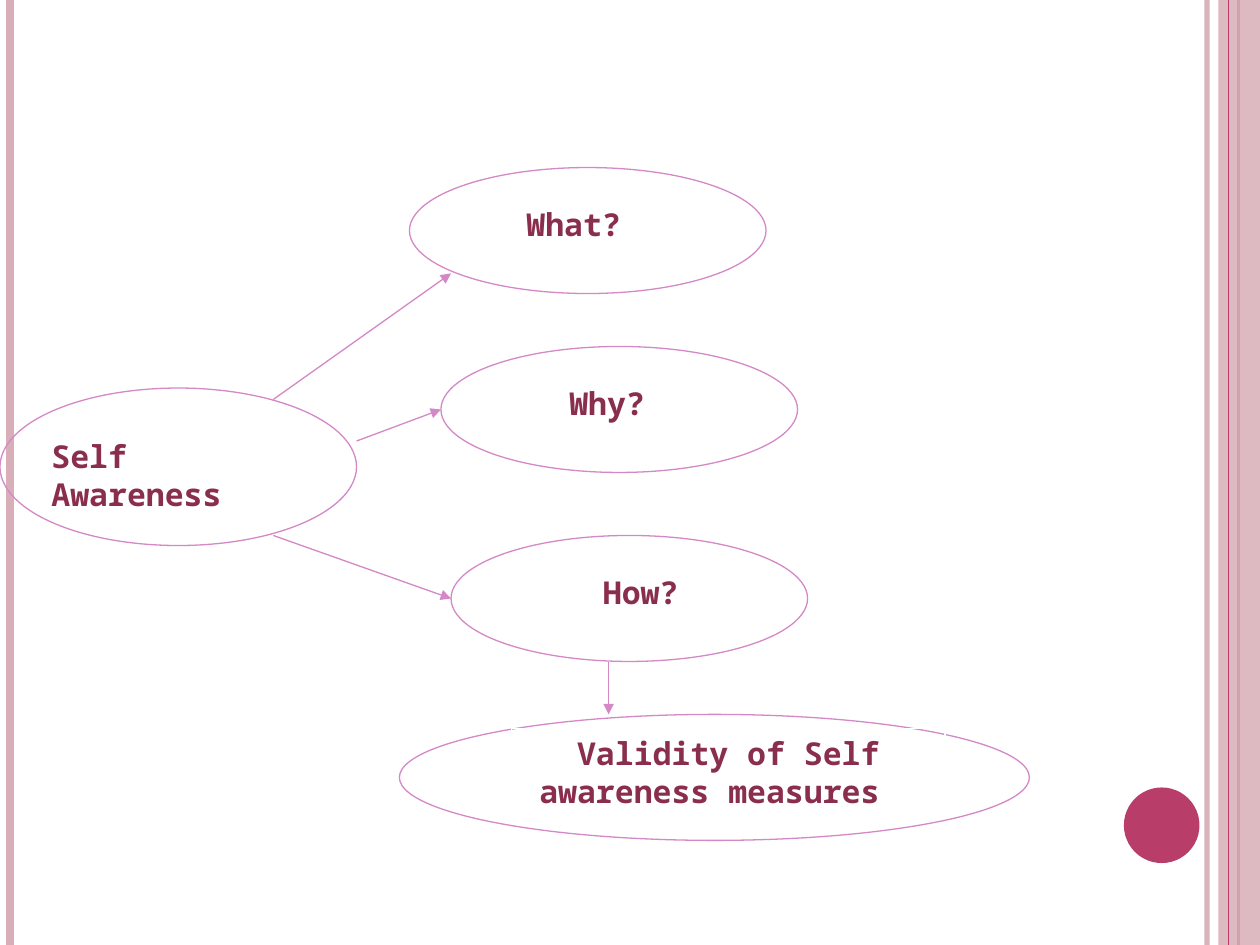
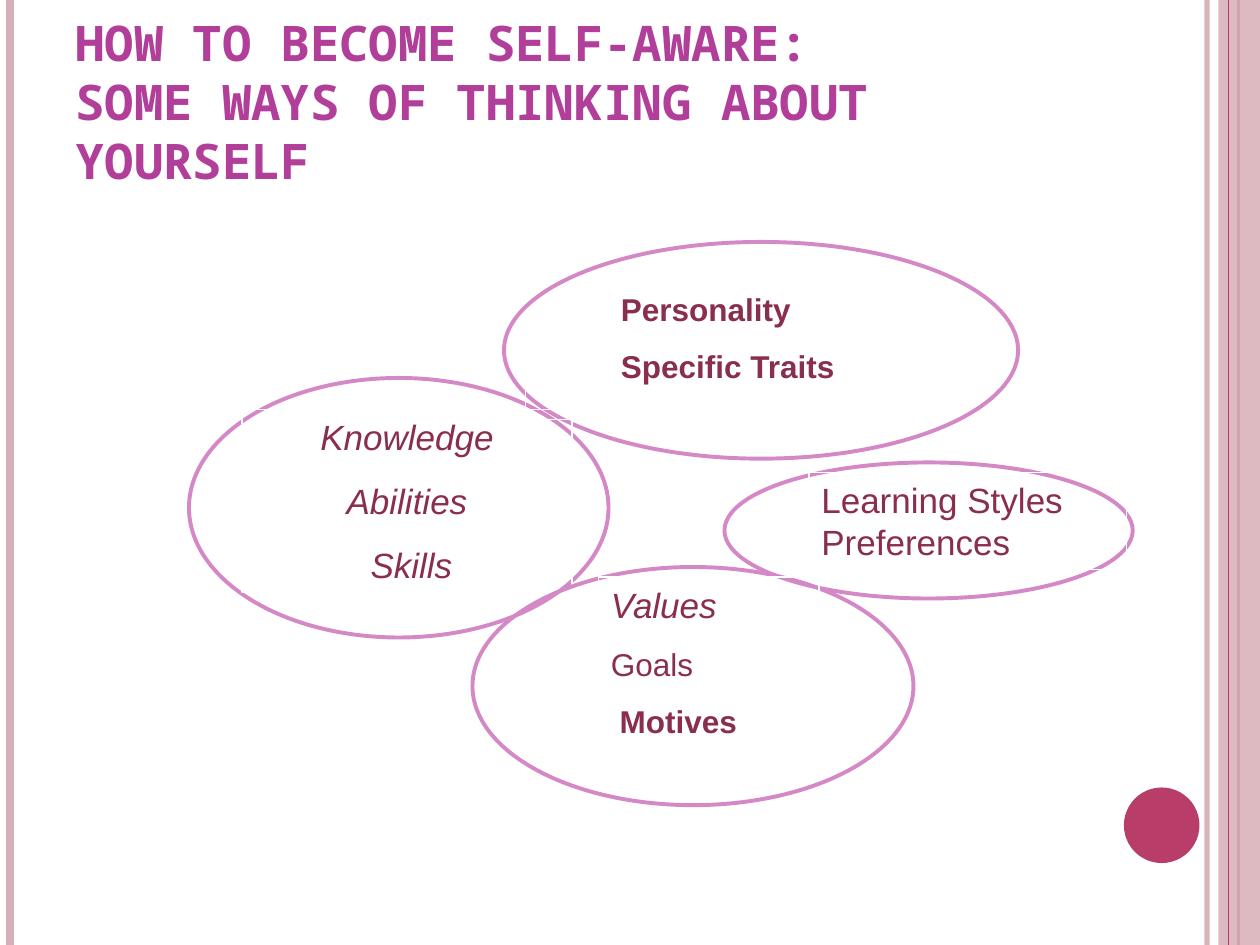
"""Build two slides on self-awareness with ovals, labels and arrows."""
from dataclasses import dataclass, field
from typing import Any, Union

import lxml.etree
import pptx
import pptx.dml.color
import pptx.dml.fill
import pptx.dml.line
import pptx.enum.shapes
import pptx.enum.text
import pptx.oxml.ns
import pptx.presentation
import pptx.shapes.autoshape
import pptx.slide
import pptx.util

Inches = pptx.util.Inches
Pt = pptx.util.Pt
SHAPE = pptx.enum.shapes.MSO_SHAPE
ALIGN = pptx.enum.text.PP_ALIGN
ANCHOR = pptx.enum.text.MSO_ANCHOR
qn = pptx.oxml.ns.qn

WHITE = "FFFFFF"
PALE_PINK = "D8AFB9"
CRIMSON = "B83D68"
ORCHID = "D488C5"
PURPLE = "B13F9A"
WINE = "8A2E4E"
SLIDE_WIDTH, SLIDE_HEIGHT = 10, 7.5

MONO = {"name": "Noto Sans Mono", "size": Pt(18), "bold": True}
TITLE = MONO | {"size": Pt(28)}
PLAIN = {"name": "Arial", "size": Pt(18)}
BOLD = PLAIN | {"bold": True}
LARGE = PLAIN | {"size": Pt(20)}
LARGE_ITALIC = LARGE | {"italic": True}

Box = tuple[float, float, float, float]
Point = tuple[float, float]


@dataclass(frozen=True)
class Oval:
    """An outlined ellipse."""
    box: Box
    weight: float = 0.75


@dataclass(frozen=True)
class Arrow:
    """A straight arrow between two points."""
    start: Point
    end: Point


@dataclass(frozen=True)
class Rule:
    """A vertical line over the full slide height."""
    left: float
    color: str
    weight: float
    opacity: int = 100


@dataclass(frozen=True)
class Line:
    """One paragraph with its font format."""
    text: str
    font: dict[str, Any]
    space_before: float = 0
    indent: float = 0


@dataclass(frozen=True)
class Label:
    """A text box with an optional border."""
    box: Box
    lines: list[Line] = field(default_factory=list)
    align: ALIGN = ALIGN.LEFT
    border: float = 0.75
    color: str = WINE
    anchor: ANCHOR = ANCHOR.TOP
    right_inset: float = 0.1


Item = Union[Oval, Arrow, Label]

RULES_BEHIND = [
    Rule(9.58, PALE_PINK, 3, 93),
    Rule(0.08, PALE_PINK, 4.5),
    Rule(9.83, CRIMSON, 1.5),
]
RULE_IN_FRONT = Rule(9.75, CRIMSON, 0.75)

QUESTIONS: list[Item] = [
    Label((0.31, 3.42, 2.08, 0.7), [Line("Self Awareness", MONO)]),
    Label((4.08, 1.58, 1.33, 0.4), [Line("What?", MONO)]),
    Label((3.75, 4.5, 2.67, 0.4), [Line("How?", MONO)], ALIGN.CENTER),
    Oval((3.58, 4.25, 2.83, 1)),
    Oval((0, 3.08, 2.83, 1.25)),
    Oval((3.25, 1.33, 2.83, 1)),
    Oval((3.5, 2.75, 2.83, 1)),
    Label((4.42, 3, 1.08, 0.4), [Line("Why?", MONO)]),
    Arrow((2.83, 3.5), (3.5, 3.25)),
    Arrow((2.17, 3.17), (3.58, 2.17)),
    Arrow((2.17, 4.25), (3.58, 4.75)),
    Oval((3.17, 5.67, 5, 1)),
    Label((4.06, 5.78, 3.44, 0.7),
          [Line("Validity of Self awareness measures", MONO)],
          ALIGN.RIGHT, right_inset=0.52),
    Arrow((4.83, 5.25), (4.83, 5.67)),
]

WAYS_OF_THINKING: list[Item] = [
    Label((0.5, 0.3, 8.17, 1.25),
          [Line("HOW TO BECOME SELF-AWARE:\vSOME WAYS OF THINKING ABOUT YOURSELF", TITLE)],
          border=0, color=PURPLE, anchor=ANCHOR.BOTTOM),
    Oval((4, 1.92, 4.08, 1.72), 2.25),
    Oval((1.5, 3, 3.33, 2.06), 2.25),
    Label((1.92, 3.25, 2.62, 1.45),
          [Line("Knowledge", LARGE_ITALIC, 12.5),
           Line("Abilities", LARGE_ITALIC, 12.5),
           Line("Skills", LARGE_ITALIC, 12.5, 0.07)],
          ALIGN.CENTER, 1),
    Oval((5.75, 3.67, 3.24, 1.08), 2.25),
    Label((6.42, 3.75, 2.52, 0.77),
          [Line("Learning Styles Preferences", LARGE, 12.5)], border=1),
    Oval((3.75, 4.5, 3.5, 1.89), 2.25),
    Label((4.17, 2.83, 2.67, 0.5), border=1),
    Label((4.83, 2.25, 2.5, 0.86),
          [Line("Personality", BOLD, 11.2), Line("Specific Traits", BOLD, 11.2)],
          border=1),
    Label((4.75, 4.58, 1.75, 1.35),
          [Line("Values", LARGE_ITALIC, 12.5),
           Line("Goals", PLAIN, 11.2),
           Line("Motives", BOLD, 11.2, 0.07)],
          border=1),
]


def rgb(color: str) -> pptx.dml.color.RGBColor:
    """Turn a hex string into a colour."""
    return pptx.dml.color.RGBColor.from_string(color)


def set_values(target: Any, values: dict[str, Any]) -> None:
    """Set every attribute named in a dict of format values."""
    for name, value in values.items():
        setattr(target, name, value)


def paint(fill: pptx.dml.fill.FillFormat, color: str, opacity: int = 100) -> None:
    """Fill with one colour at an opacity in percent."""
    fill.solid()
    fill.fore_color.rgb = rgb(color)
    if opacity < 100:
        color_element = fill._xPr.find(".//" + qn("a:srgbClr"))
        lxml.etree.SubElement(color_element, qn("a:alpha"), val=str(opacity * 1000))


def stroke(line: pptx.dml.line.LineFormat, color: str, weight: float,
           opacity: int = 100) -> None:
    """Give a line its colour and weight."""
    paint(line.fill, color, opacity)
    line.width = Pt(weight)


def add_preset(slide: pptx.slide.Slide, preset: SHAPE,
               box: Box) -> pptx.shapes.autoshape.Shape:
    """Add a preset shape without shadow, fill or line."""
    shape = slide.shapes.add_shape(preset, *map(Inches, box))
    shape.shadow.inherit = False
    shape.fill.background()
    shape.line.fill.background()
    return shape


def add_line(slide: pptx.slide.Slide, start: Point, end: Point, color: str,
             weight: float, opacity: int = 100, arrowhead: bool = False) -> None:
    """Add a straight connector without shadow."""
    connector = slide.shapes.add_connector(
        pptx.enum.shapes.MSO_CONNECTOR.STRAIGHT, *map(Inches, start + end))
    stroke(connector.line, color, weight, opacity)
    properties = connector._element.spPr
    if arrowhead:
        outline = properties.find(qn("a:ln"))
        lxml.etree.SubElement(outline, qn("a:tailEnd"), type="triangle")
    lxml.etree.SubElement(properties, qn("a:effectLst"))


def add_rule(slide: pptx.slide.Slide, rule: Rule) -> None:
    """Draw a full-height vertical line."""
    add_line(slide, (rule.left, 0), (rule.left, SLIDE_HEIGHT),
             rule.color, rule.weight, rule.opacity)


def add_frame(slide: pptx.slide.Slide) -> None:
    """Draw the side bands and the dot that all slides share."""
    for rule in RULES_BEHIND:
        add_rule(slide, rule)
    band = add_preset(slide, SHAPE.RECTANGLE, (9.67, 0, 0.33, SLIDE_HEIGHT))
    paint(band.fill, PALE_PINK, 87)
    add_rule(slide, RULE_IN_FRONT)
    dot = add_preset(slide, SHAPE.OVAL, (8.92, 6.25, 0.6, 0.6))
    paint(dot.fill, CRIMSON)


def add_label(slide: pptx.slide.Slide, label: Label) -> None:
    """Draw a text box with its paragraphs."""
    shape = slide.shapes.add_textbox(*map(Inches, label.box))
    if label.border:
        stroke(shape.line, WHITE, label.border)
    frame = shape.text_frame
    set_values(frame, {
        "word_wrap": True,
        "vertical_anchor": label.anchor,
        "margin_left": Inches(0.1),
        "margin_right": Inches(label.right_inset),
        "margin_top": Inches(0.05),
        "margin_bottom": Inches(0.05),
    })
    for index, line in enumerate(label.lines):
        paragraph = frame.add_paragraph() if index else frame.paragraphs[0]
        paragraph.text = line.text
        set_values(paragraph, {"alignment": label.align,
                               "space_before": Pt(line.space_before)})
        if line.indent:
            paragraph._p.get_or_add_pPr().set("marL", str(Inches(line.indent)))
        for run in paragraph.runs:
            set_values(run.font, line.font)
            run.font.color.rgb = rgb(label.color)


def add_item(slide: pptx.slide.Slide, item: Item) -> None:
    """Draw an oval, an arrow or a label."""
    if isinstance(item, Oval):
        shape = add_preset(slide, SHAPE.OVAL, item.box)
        stroke(shape.line, ORCHID, item.weight)
    elif isinstance(item, Arrow):
        add_line(slide, item.start, item.end, ORCHID, 0.75, arrowhead=True)
    else:
        add_label(slide, item)


def add_slide(presentation: pptx.presentation.Presentation, items: list[Item]) -> None:
    """Add a blank slide with the shared frame and its items."""
    slide = presentation.slides.add_slide(presentation.slide_layouts[6])
    add_frame(slide)
    for item in items:
        add_item(slide, item)


def main() -> None:
    """Build and save the presentation."""
    presentation = pptx.Presentation()
    set_values(presentation, {"slide_width": Inches(SLIDE_WIDTH),
                              "slide_height": Inches(SLIDE_HEIGHT)})
    for items in (QUESTIONS, WAYS_OF_THINKING):
        add_slide(presentation, items)
    presentation.save("out.pptx")


if __name__ == "__main__":
    main()
